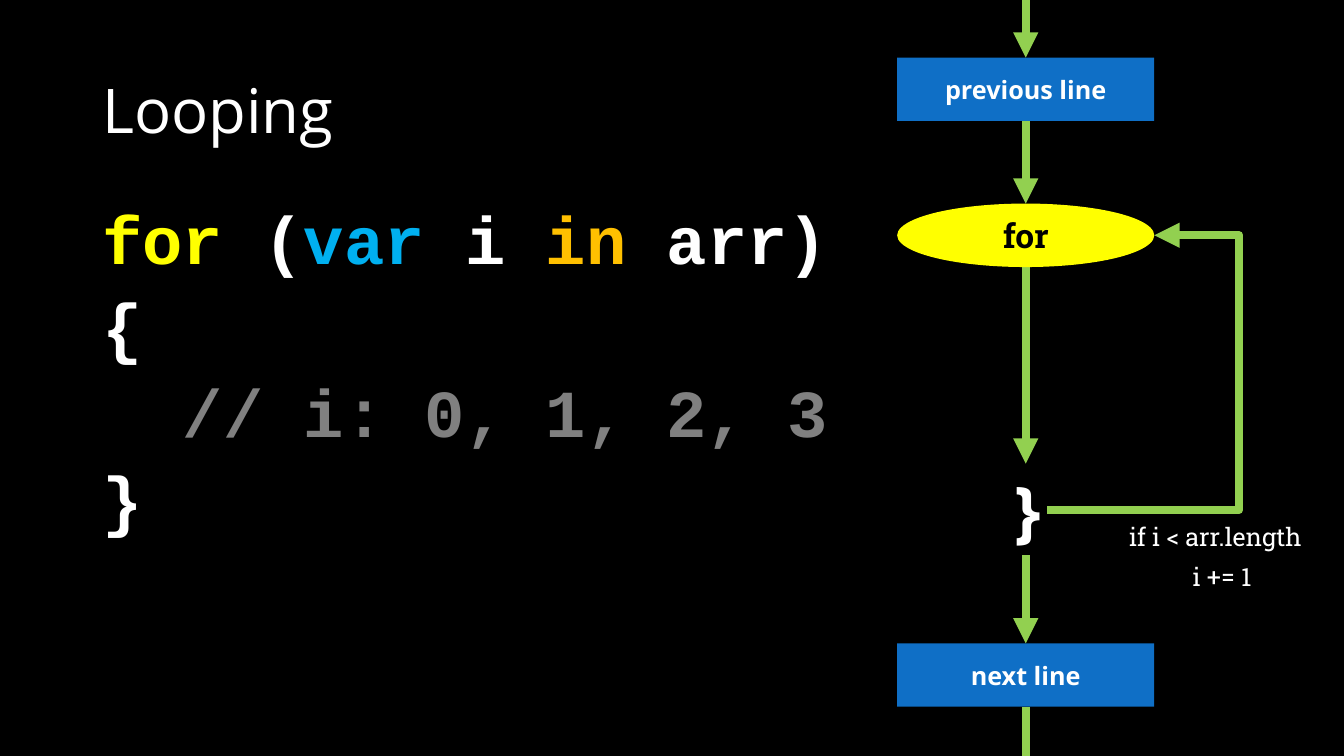
from lxml.etree import SubElement
from pptx import Presentation
from pptx.dml.color import RGBColor
from pptx.enum.shapes import MSO_CONNECTOR, MSO_SHAPE
from pptx.enum.text import MSO_ANCHOR, PP_ALIGN
from pptx.oxml.ns import qn
from pptx.util import Cm, Pt

BLACK = RGBColor(0x00, 0x00, 0x00)
WHITE = RGBColor(0xFF, 0xFF, 0xFF)
YELLOW = RGBColor(0xFF, 0xFF, 0x00)
CYAN = RGBColor(0x00, 0xB0, 0xF0)
AMBER = RGBColor(0xFF, 0xC0, 0x00)
GRAY = RGBColor(0x80, 0x80, 0x80)
BLUE = RGBColor(0x0F, 0x6F, 0xC6)
GREEN = RGBColor(0x92, 0xD0, 0x50)

SANS, SLAB, MONO = "Open Sans", "Roboto Slab", "Courier New"
WIDTH, HEIGHT = 33.87, 19.05

CODE = [
    (0, [("for", YELLOW), (" (", WHITE), ("var", CYAN), (" i ", WHITE),
         ("in", AMBER), (" arr)", WHITE)]),
    (0, [("{", WHITE)]),
    (2, [("// i: 0, 1, 2, 3", GRAY)]),
    (0, [("}", WHITE)]),
]


def write(para, text, font, size, color, bold=False):
    """Add one styled run to a paragraph."""
    run = para.add_run()
    run.text = text
    run.font.name = font
    run.font.size = Pt(size)
    run.font.bold = bold
    run.font.color.rgb = color


def frame(slide, left, top, width, height, wrap=True):
    """Add a text box and return its text frame."""
    box = slide.shapes.add_textbox(Cm(left), Cm(top), Cm(width), Cm(height))
    box.text_frame.word_wrap = wrap
    return box.text_frame


def node(slide, kind, box, fill, text, font, size, color):
    """Draw one filled step of the flow with a centred label."""
    shape = slide.shapes.add_shape(kind, *map(Cm, box))
    shape.shadow.inherit = False
    shape.fill.solid()
    shape.fill.fore_color.rgb = fill
    shape.line.fill.background()
    shape.text_frame.vertical_anchor = MSO_ANCHOR.MIDDLE
    para = shape.text_frame.paragraphs[0]
    para.alignment = PP_ALIGN.CENTER
    write(para, text, font, size, color, True)


def link(slide, start, end, bend=None, head=True):
    """Draw a thick green line, bent and arrowed as asked."""
    kind = MSO_CONNECTOR.ELBOW if bend else MSO_CONNECTOR.STRAIGHT
    wire = slide.shapes.add_connector(kind, *map(Cm, start + end))
    wire.line.color.rgb = GREEN
    wire.line.width = Pt(6)
    props = wire._element.spPr
    if head:
        SubElement(props.find(qn("a:ln")), qn("a:tailEnd"), type="triangle")
    if bend:
        guides = props.find(qn("a:prstGeom")).get_or_add_avLst()
        SubElement(guides, qn("a:gd"), name="adj1",
                   fmla=f"val {round(bend * 100000)}")
    SubElement(props, qn("a:effectLst"))


def title(slide, left, top, width, height):
    """Write the slide heading."""
    text = frame(slide, left, top, width, height)
    text.vertical_anchor = MSO_ANCHOR.MIDDLE
    para = text.paragraphs[0]
    para.line_spacing = 0.9
    write(para, "Looping", SANS, 44, WHITE)


def code(slide, left, top, width, height):
    """Write the coloured loop, one paragraph per line of code."""
    text = frame(slide, left, top, width, height)
    size = 48
    for row, (indent, parts) in enumerate(CODE):
        para = text.add_paragraph() if row else text.paragraphs[0]
        para.line_spacing = 0.9
        para.space_before = Pt(10)
        if indent:
            para._p.get_or_add_pPr().set("marL", str(Pt(indent * size * 0.6)))
        for word, color in parts:
            write(para, word, MONO, size, color, True)


def flow(slide, left, top, width, height):
    """Draw the flow chart from the top edge of its box to the bottom."""
    mid, tall = left + width / 2, 1.6
    prev, loop, brace, after = (top + y for y in (1.45, 5.13, 11.68, 16.21))
    end = brace + 2.31
    stops = [(top, prev), (prev + tall, loop), (loop + tall, brace),
             (end, after)]
    for start, stop in stops:
        link(slide, (mid, start), (mid, stop))
    link(slide, (mid, after + tall), (mid, top + height), head=False)
    link(slide, (mid + 0.54, brace + 1.17),
         (left + width, loop + tall / 2), bend=1.79)

    for y, text in ((prev, "previous line"), (after, "next line")):
        node(slide, MSO_SHAPE.RECTANGLE, (left, y, width, tall), BLUE,
             text, SANS, 18, WHITE)
    node(slide, MSO_SHAPE.OVAL, (left, loop, width, tall), YELLOW,
         "for", SLAB, 24, BLACK)

    labels = [
        ("}", mid, brace, 1.09, 2.31, SANS, 48, True),
        ("if i < arr.length", mid + 4.78, brace + 1.32, 4.98, 1.02,
         SLAB, 18, False),
        ("i += 1", mid + 4.95, brace + 2.34, 2.01, 1.02, SLAB, 18, False),
    ]
    for text, x, y, wide, high, font, size, bold in labels:
        para = frame(slide, x - wide / 2, y, wide, high, False).paragraphs[0]
        para.alignment = PP_ALIGN.CENTER
        write(para, text, font, size, WHITE, bold)


def main():
    """Build the slide and save it."""
    deck = Presentation()
    deck.slide_width, deck.slide_height = Cm(WIDTH), Cm(HEIGHT)
    slide = deck.slides.add_slide(deck.slide_layouts[6])
    slide.background.fill.solid()
    slide.background.fill.fore_color.rgb = BLACK
    title(slide, 2.33, 1.02, 29.21, 3.68)
    code(slide, 2.33, 5.08, 29.21, 12.09)
    flow(slide, 22.61, 0, 6.48, HEIGHT)
    deck.save("out.pptx")


if __name__ == "__main__":
    main()
